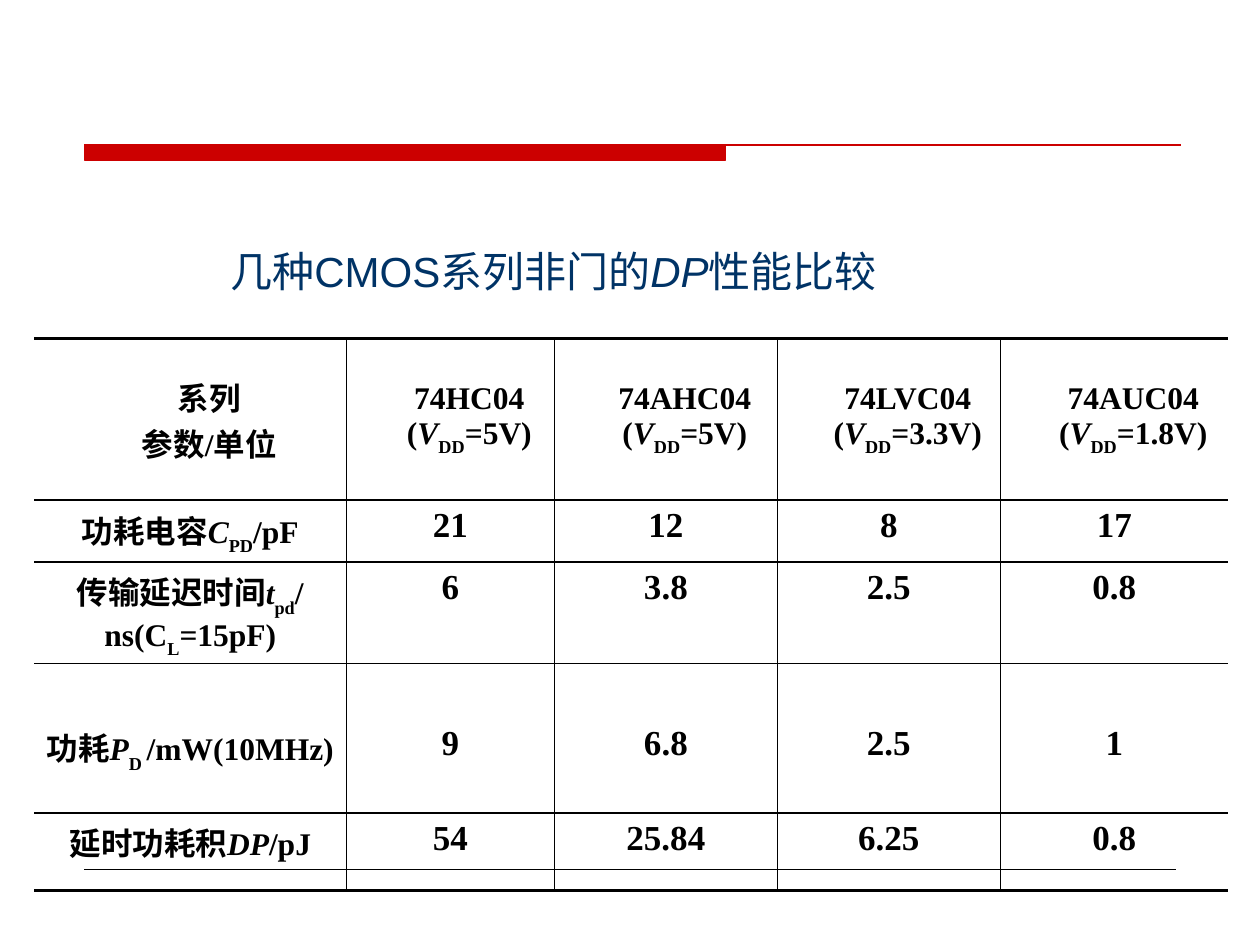
from lxml import etree
from pptx import Presentation
from pptx import util as u
from pptx.dml.color import RGBColor
from pptx.enum import shapes, text
from pptx.oxml import ns

RED = RGBColor(0xCC, 0x00, 0x00)
NAVY = RGBColor(0x00, 0x33, 0x66)
BLACK = RGBColor(0x00, 0x00, 0x00)

PLAIN, ITALIC, SUB = "plain", "italic", "sub"

SERIES = [("74HC04", "5V"), ("74AHC04", "5V"), ("74LVC04", "3.3V"), ("74AUC04", "1.8V")]
MEASURES = [
    ([("功耗电容", PLAIN), ("C", ITALIC), ("PD", SUB), ("/pF", PLAIN)],
     ["21", "12", "8", "17"]),
    ([("传输延迟时间", PLAIN), ("t", ITALIC), ("pd", SUB), ("/ns(C", PLAIN),
      ("L", SUB), ("=15pF)", PLAIN)],
     ["6", "3.8", "2.5", "0.8"]),
    None,
    ([("功耗", PLAIN), ("P", ITALIC), ("D ", SUB), ("/mW(10MHz)", PLAIN)],
     ["9", "6.8", "2.5", "1"]),
    ([("延时功耗积", PLAIN), ("DP", ITALIC), ("/pJ", PLAIN)],
     ["54", "25.84", "6.25", "0.8"]),
]
COLUMN_WIDTHS = [2.48, 1.65, 1.77, 1.77, 1.81]
ROW_HEIGHTS = [1.28, 0.49, 0.7, 0.43, 0.43, 0.62]
SPACER_ROW = 3


class SlideBuilder:
    title_font = "Arial"
    table_font = "Times New Roman"

    def __init__(self, page):
        self.page = page

    def runs(self, para, parts, size, font, color, bold=False):
        for words, style in parts:
            span = para.add_run()
            span.text = words
            span.font.size = u.Pt(size)
            span.font.name = font
            span.font.color.rgb = color
            span.font.bold = bold
            span.font.italic = style == ITALIC
            if style == SUB:
                span.font._element.set("baseline", "-30000")

    def flag(self, left, top, bar_right, bar_bottom, right):
        builder = self.page.shapes.build_freeform(u.Inches(left), u.Inches(top))
        corners = [(bar_right, top), (bar_right, bar_bottom), (left, bar_bottom)]
        builder.add_line_segments([(u.Inches(x), u.Inches(y)) for x, y in corners])
        builder.move_to(u.Inches(left), u.Inches(top))
        builder.add_line_segments([(u.Inches(right), u.Inches(top))], close=False)
        shape = builder.convert_to_shape()
        shape.shadow.inherit = False
        shape.fill.solid()
        shape.fill.fore_color.rgb = RED
        shape.line.color.rgb = RED
        shape.line.width = u.Pt(0.75)

    def rule(self, left, right, y):
        line = self.page.shapes.add_connector(
            shapes.MSO_CONNECTOR.STRAIGHT,
            u.Inches(left), u.Inches(y), u.Inches(right), u.Inches(y))
        line.line.color.rgb = BLACK
        line.line.width = u.Pt(0.25)
        etree.SubElement(line._element.spPr, ns.qn("a:effectLst"))

    def title(self, left, top, width, height, parts):
        box = self.page.shapes.add_textbox(
            u.Inches(left), u.Inches(top), u.Inches(width), u.Inches(height))
        box.text_frame.word_wrap = True
        self.runs(box.text_frame.paragraphs[0], parts, 24, self.title_font, NAVY)

    def table(self, left, top, widths, heights):
        frame = self.page.shapes.add_table(
            len(heights), len(widths), u.Inches(left), u.Inches(top),
            u.Inches(sum(widths)), u.Inches(sum(heights)))
        grid = frame.table
        grid.first_row = grid.horz_banding = False
        for column, width in zip(grid.columns, widths):
            column.width = u.Inches(width)
        for row, height in zip(grid.rows, heights):
            row.height = u.Inches(height)
        return grid

    def cell(self, cell, paragraphs, size, indent=0.0):
        for index, parts in enumerate(paragraphs):
            frame = cell.text_frame
            para = frame.add_paragraph() if index else frame.paragraphs[0]
            para.alignment = text.PP_ALIGN.CENTER
            properties = para._p.get_or_add_pPr()
            properties.set("marL", "0")
            properties.set("indent", str(u.Inches(indent)))
            self.runs(para, parts, size, self.table_font, BLACK, bold=True)

    def borders(self, cell, left, right, top, bottom):
        properties = cell._tc.get_or_add_tcPr()
        for side, points in zip("LRTB", (left, right, top, bottom)):
            edge = etree.SubElement(properties, ns.qn(f"a:ln{side}"), w=str(u.Pt(points)))
            if points:
                fill = etree.SubElement(edge, ns.qn("a:solidFill"))
                etree.SubElement(fill, ns.qn("a:srgbClr"), val=str(BLACK))
            else:
                etree.SubElement(edge, ns.qn("a:noFill"))
        cell.fill.background()


def fill_table(builder, grid):
    last_row, last_column = len(ROW_HEIGHTS) - 1, len(COLUMN_WIDTHS) - 1
    for r in range(last_row + 1):
        for c in range(last_column + 1):
            top = 2 if r == 0 else int(r != SPACER_ROW + 1)
            bottom = 2 if r == last_row else int(r != SPACER_ROW)
            builder.borders(grid.cell(r, c), int(c > 0), int(c < last_column), top, bottom)

    headings = [[[("系列", PLAIN)], [("参数/单位", PLAIN)]]]
    for name, voltage in SERIES:
        supply = [("(", PLAIN), ("V", ITALIC), ("DD", SUB), (f"={voltage})", PLAIN)]
        headings.append([[(name, PLAIN)], supply])
    for c, heading in enumerate(headings):
        cell = grid.cell(0, c)
        cell.vertical_anchor = text.MSO_ANCHOR.MIDDLE
        builder.cell(cell, heading, 18, indent=0.3)

    for r, measure in enumerate(MEASURES, start=1):
        if measure is None:
            continue
        label, values = measure
        builder.cell(grid.cell(r, 0), [label], 18)
        for c, value in enumerate(values, start=1):
            builder.cell(grid.cell(r, c), [[(value, PLAIN)]], 20)


def main():
    deck = Presentation()
    deck.slide_width, deck.slide_height = u.Inches(10), u.Inches(7.5)
    builder = SlideBuilder(deck.slides.add_slide(deck.slide_layouts[6]))
    builder.flag(0.67, 1.15, 5.76, 1.27, 9.37)
    builder.rule(0.67, 9.33, 6.9)
    builder.title(1.73, 1.9, 6.73, 0.9, [
        ("几种CMOS系列非门的", PLAIN), ("DP", ITALIC), ("性能比较", PLAIN)])
    fill_table(builder, builder.table(0.27, 2.69, COLUMN_WIDTHS, ROW_HEIGHTS))
    deck.save("out.pptx")


if __name__ == "__main__":
    main()
